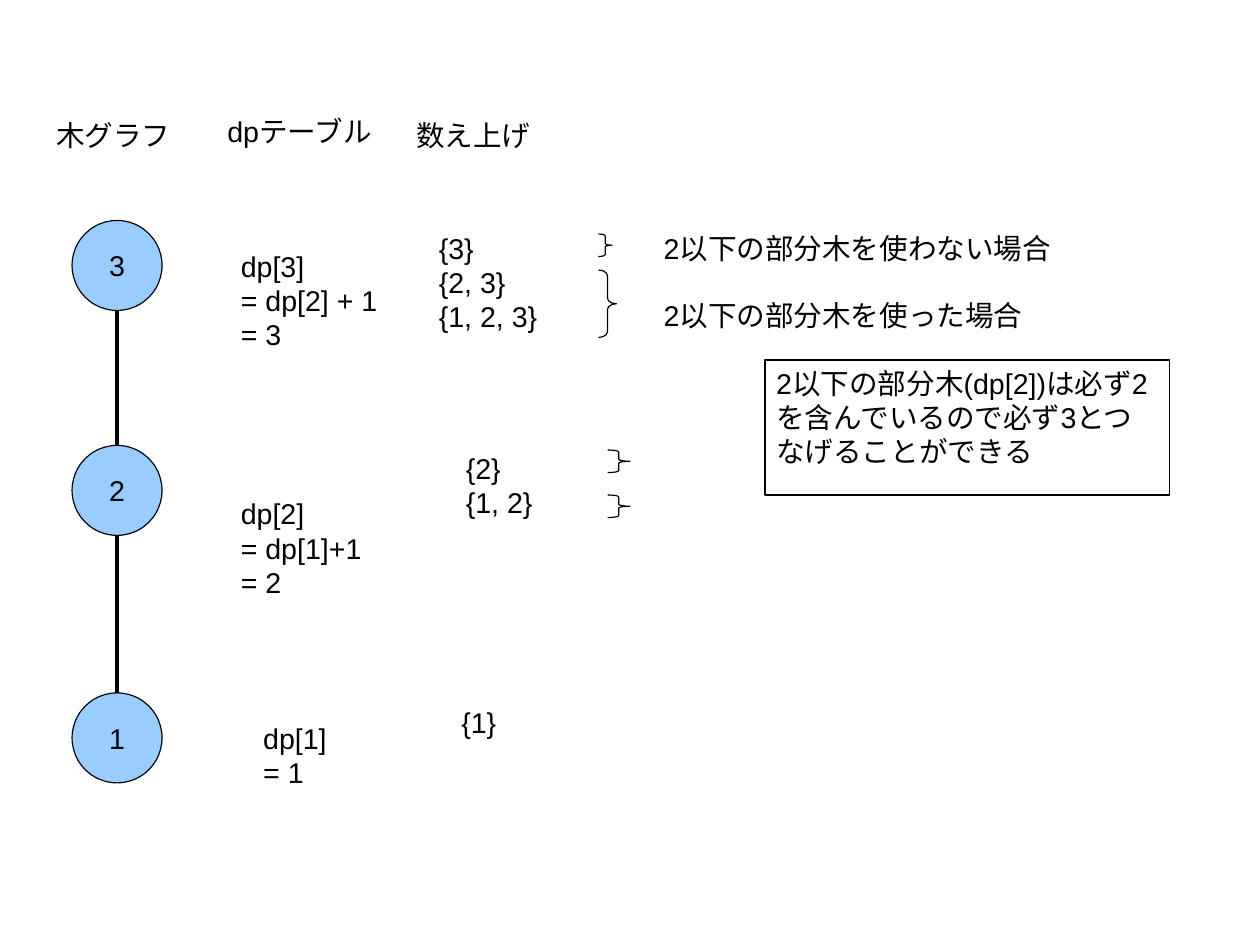
from pptx import Presentation
from pptx.dml.color import RGBColor
from pptx.enum.shapes import MSO_CONNECTOR as Link, MSO_SHAPE as Preset
from pptx.enum.text import MSO_ANCHOR as Anchor, PP_ALIGN as Align
from pptx.oxml.ns import qn
from pptx.util import Pt
from lxml.etree import SubElement


def color(value):
    return RGBColor.from_string(value)


class Diagram:
    """Holds the style and the current slide."""

    ink = "000000"
    node_fill = "99CCFF"
    font = {"name": "Arial", "size": Pt(18)}
    hairline = Pt(0)

    def __init__(self, slide):
        self.shapes = slide.shapes

    def set_text(self, shape, text, align=Align.LEFT, anchor=Anchor.TOP):
        frame = shape.text_frame
        frame.word_wrap = True
        frame.vertical_anchor = anchor
        frame.text = text
        for paragraph in frame.paragraphs:
            paragraph.alignment = align
            for key, value in self.font.items():
                setattr(paragraph.font, key, value)
            paragraph.font.color.rgb = color(self.ink)

    def outline(self, item):
        item.line.color.rgb = color(self.ink)
        item.line.width = self.hairline

    def preset(self, kind, left, top, width, height, fill=None):
        shape = self.shapes.add_shape(kind, Pt(left), Pt(top), Pt(width), Pt(height))
        shape.shadow.inherit = False
        if fill:
            shape.fill.solid()
            shape.fill.fore_color.rgb = color(fill)
        else:
            shape.fill.background()
        self.outline(shape)
        return shape

    def node(self, label, left, top, size):
        circle = self.preset(Preset.OVAL, left, top, size, size, self.node_fill)
        self.set_text(circle, label, Align.CENTER, Anchor.MIDDLE)

    def edge(self, x, top, bottom):
        line = self.shapes.add_connector(Link.STRAIGHT, Pt(x), Pt(top), Pt(x), Pt(bottom))
        self.outline(line)
        SubElement(line._element.spPr, qn("a:effectLst"))

    def label(self, text, left, top, width, height):
        box = self.shapes.add_textbox(Pt(left), Pt(top), Pt(width), Pt(height))
        self.set_text(box, text)

    def brace(self, left, top, width, height):
        shape = self.preset(Preset.RIGHT_BRACE, left, top, width, height)
        # Each curve takes a twelfth of the height
        shape.adjustments[0] = height / 12 / min(width, height)

    def note(self, text, left, top, width, height):
        self.set_text(self.preset(Preset.RECTANGLE, left, top, width, height), text)


def main():
    deck = Presentation()
    deck.slide_width, deck.slide_height = Pt(793.7), Pt(595.3)
    diagram = Diagram(deck.slides.add_slide(deck.slide_layouts[6]))

    # Tree graph
    node_left, node_size = 45.4, 56.7
    node_tops = {"3": 138.9, "2": 280.6, "1": 436.5}
    for name, top in node_tops.items():
        diagram.node(name, node_left, top, node_size)
    tops = list(node_tops.values())
    for upper, lower in zip(tops, tops[1:]):
        diagram.edge(node_left + node_size / 2, upper + node_size, lower)

    # Column headings, dp table, enumerated subtrees and cases
    labels = [
        ("木グラフ", 28.3, 70.9, 127.6, 33),
        ("dpテーブル", 136.1, 68, 141.7, 33),
        ("数え上げ", 255.1, 70.9, 155.9, 33),
        ("dp[3]\n= dp[2] + 1\n= 3", 144.6, 153.1, 141.7, 68),
        ("dp[2]\n= dp[1]+1\n= 2", 144.6, 309, 155.9, 68),
        ("dp[1]\n= 1", 158.7, 450.7, 155.9, 47.5),
        ("{3}\n{2, 3}\n{1, 2, 3}", 269.3, 141.7, 170.1, 68),
        ("{2}\n{1, 2}", 286.3, 280.6, 141.7, 68),
        ("{1}", 283.5, 440.6, 141.7, 27.4),
        ("2以下の部分木を使わない場合", 411, 141.7, 340.2, 33),
        ("2以下の部分木を使った場合", 411, 184.3, 311.8, 33),
    ]
    for text, *place in labels:
        diagram.label(text, *place)

    # Braces beside the subtrees
    for place in [
        (377, 147.4, 8.5, 14.2),
        (377, 170.1, 11.3, 42.5),
        (382.7, 283.5, 14.2, 14.2),
        (382.7, 311.8, 14.2, 14.2),
    ]:
        diagram.brace(*place)

    # Explanation
    diagram.note(
        "2以下の部分木(dp[2])は必ず2を含んでいるので必ず3とつなげることができる",
        481.9, 226.8, 255.1, 85,
    )

    deck.save("out.pptx")


if __name__ == "__main__":
    main()
